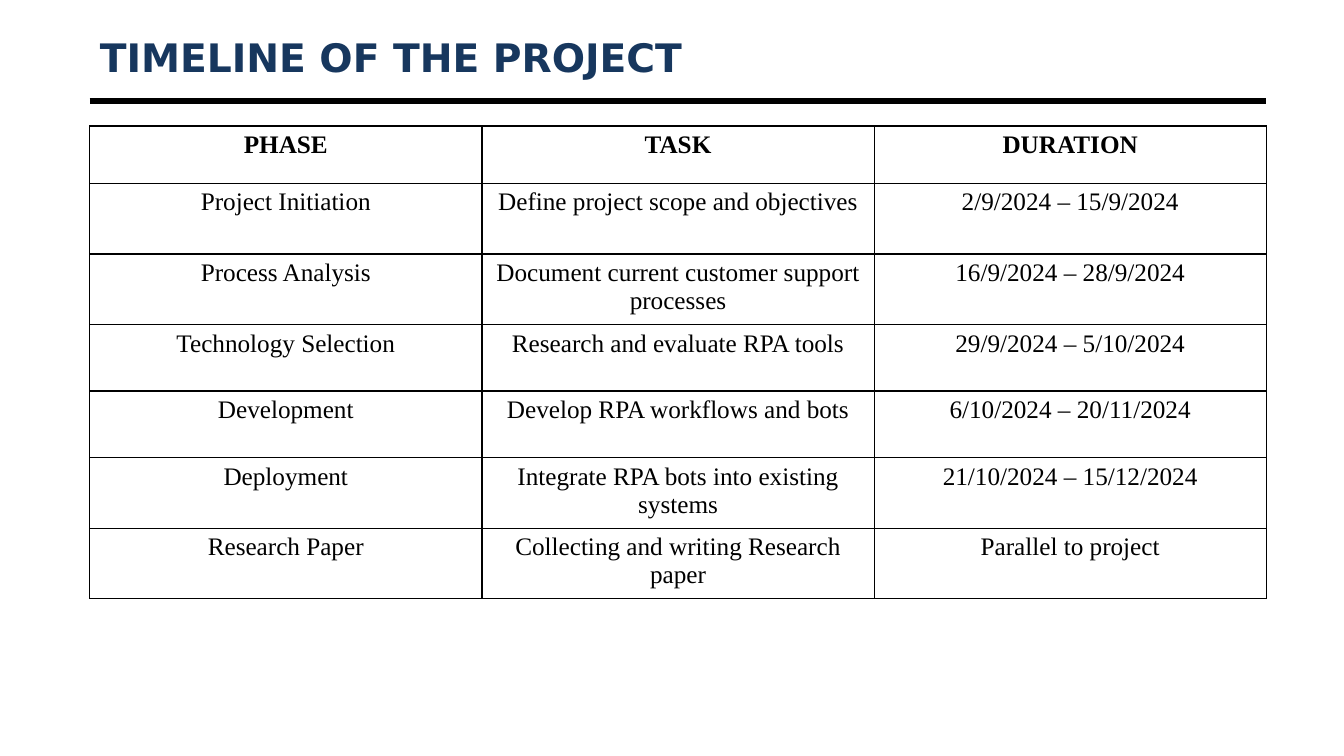
from lxml.etree import SubElement
from pptx import Presentation
from pptx.dml.color import RGBColor
from pptx.enum.shapes import MSO_CONNECTOR
from pptx.enum.text import MSO_ANCHOR, PP_ALIGN
from pptx.oxml.ns import qn
from pptx.util import Inches, Pt

NAVY = RGBColor(0x17, 0x37, 0x5E)
BLACK = RGBColor(0, 0, 0)
LEFT, WIDTH = 0.89, 11.67
TITLE_FONT = {"name": "DejaVu Sans", "size": Pt(28), "bold": True}
CELL_FONT = {"name": "Times New Roman", "size": Pt(18)}
ROW_HEIGHTS = [0.57, 0.7, 0.7, 0.66, 0.66, 0.7, 0.7]
PHASES = [
    ("PHASE", "TASK", "DURATION"),
    ("Project Initiation", "Define project scope and objectives", "2/9/2024 – 15/9/2024"),
    ("Process Analysis", "Document current customer support processes", "16/9/2024 – 28/9/2024"),
    ("Technology Selection", "Research and evaluate RPA tools", "29/9/2024 – 5/10/2024"),
    ("Development", "Develop RPA workflows and bots", "6/10/2024 – 20/11/2024"),
    ("Deployment", "Integrate RPA bots into existing systems", "21/10/2024 – 15/12/2024"),
    ("Research Paper", "Collecting and writing Research paper", "Parallel to project"),
]


def write(p, text, font, color):
    r = p.add_run()
    r.text = text
    for name, value in font.items():
        setattr(r.font, name, value)
    r.font.color.rgb = color


def add_borders(cell):
    tcPr = cell._tc.get_or_add_tcPr()
    for i, side in enumerate(("a:lnL", "a:lnR", "a:lnT", "a:lnB")):
        ln = tcPr.makeelement(qn(side), {"w": str(Pt(1))})
        tcPr.insert(i, ln)
        fill = SubElement(ln, qn("a:solidFill"))
        SubElement(fill, qn("a:srgbClr"), val=str(BLACK))


prs = Presentation()
prs.slide_width = Inches(13.33)
prs.slide_height = Inches(7.5)
s = prs.slides.add_slide(prs.slide_layouts[5])

title = s.shapes.title
box = {"left": LEFT, "top": 0.3, "width": WIDTH, "height": 0.53}
for name, value in box.items():
    setattr(title, name, Inches(value))
tf = title.text_frame
tf.vertical_anchor = MSO_ANCHOR.MIDDLE
p = tf.paragraphs[0]
p.alignment = PP_ALIGN.LEFT
write(p, "TIMELINE OF THE PROJECT", TITLE_FONT, NAVY)

rule = s.shapes.add_connector(
    MSO_CONNECTOR.STRAIGHT, Inches(LEFT), Inches(1), Inches(LEFT + WIDTH), Inches(1))
rule.line.color.rgb = BLACK
rule.line.width = Pt(4.5)
SubElement(rule._element.spPr, qn("a:effectLst"))

table = s.shapes.add_table(
    len(PHASES), 3, Inches(LEFT), Inches(1.25),
    Inches(WIDTH), Inches(sum(ROW_HEIGHTS))).table
table.horz_banding = False
for col in table.columns:
    col.width = Inches(WIDTH / 3)
for i, (texts, height) in enumerate(zip(PHASES, ROW_HEIGHTS)):
    table.rows[i].height = Inches(height)
    for cell, text in zip(table.rows[i].cells, texts):
        cell.fill.background()
        add_borders(cell)
        p = cell.text_frame.paragraphs[0]
        p.alignment = PP_ALIGN.CENTER
        write(p, text, {**CELL_FONT, "bold": i == 0}, BLACK)

prs.save("out.pptx")
